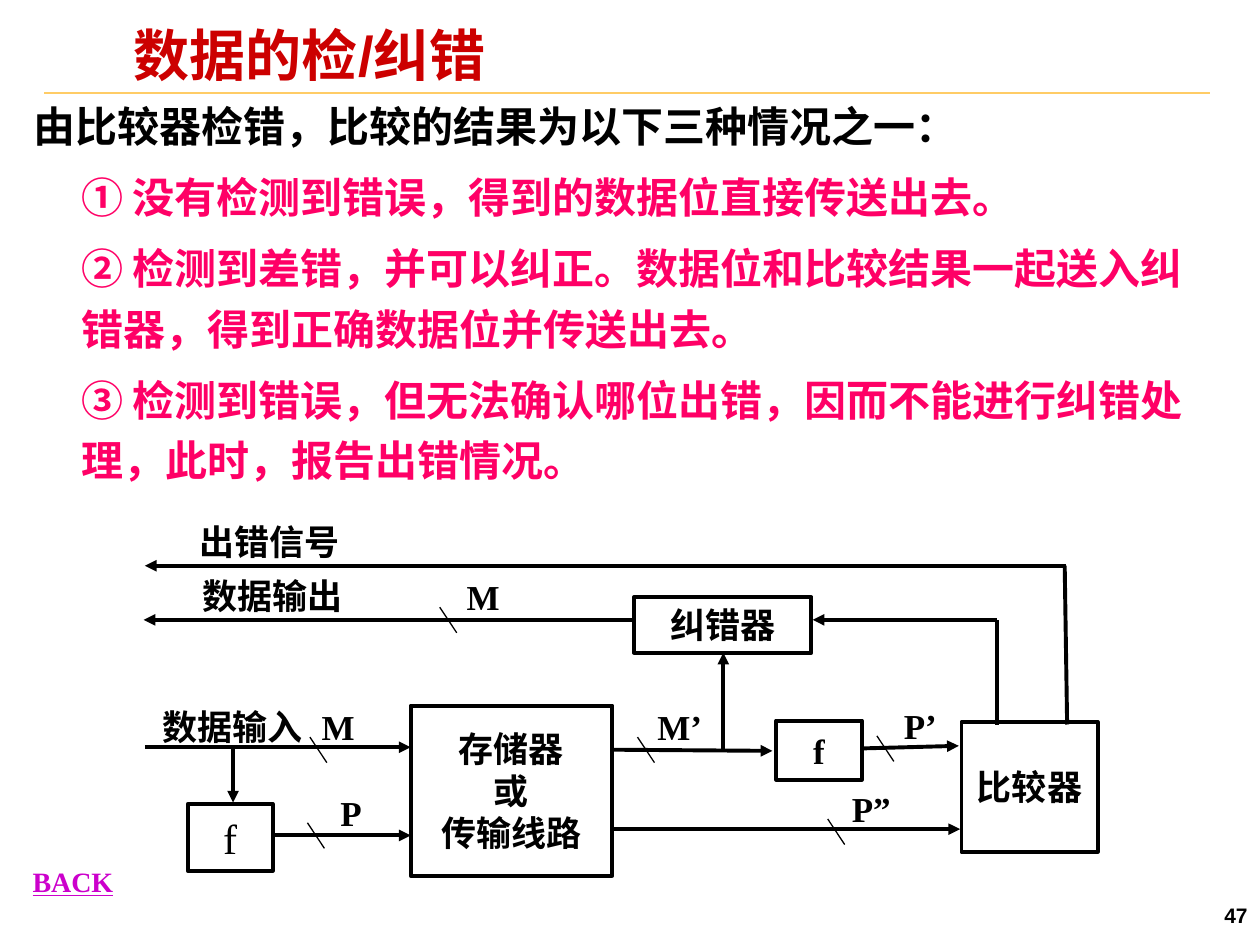
"""Build the slide on error detection and correction of data."""
from pptx import Presentation
from pptx.dml.color import RGBColor as RGB
from pptx.enum.shapes import MSO_CONNECTOR as CONN, MSO_SHAPE as SHAPE
from pptx.enum.text import MSO_ANCHOR as ANCHOR, PP_ALIGN as ALIGN
from pptx.oxml.ns import qn
from pptx.util import Pt
from lxml.etree import SubElement

COLORS = {"black": "000000", "title": "CC0000", "item": "FF0066", "link": "CC00CC", "rule": "FFCC66"}
TITLE = {"name": "Arial", "size": Pt(32), "bold": True}
BODY = {"name": "Arial", "size": Pt(24), "bold": True}
LABEL = {"name": "Times New Roman", "size": Pt(20), "bold": True}
PLAIN = {"name": "Times New Roman", "size": Pt(24), "bold": False}
BACK = {"name": "Times New Roman", "size": Pt(16), "bold": True, "underline": True}
NUMBER = {"name": "Arial", "size": Pt(12), "bold": True}

prs = Presentation()
prs.slide_width, prs.slide_height = Pt(720), Pt(540)
s = prs.slides.add_slide(prs.slide_layouts[6])


def write(sp, lines, fmt, color="black", align=ALIGN.CENTER, anchor=ANCHOR.MIDDLE, inset=(0, 0)):
    tf = sp.text_frame
    frame = {"word_wrap": True, "vertical_anchor": anchor, "margin_left": Pt(inset[0]),
             "margin_right": Pt(inset[0]), "margin_top": Pt(inset[1]), "margin_bottom": Pt(inset[1])}
    for key, value in frame.items():
        setattr(tf, key, value)
    for i, line in enumerate(lines):
        p = tf.add_paragraph() if i else tf.paragraphs[0]
        p.alignment = align
        r = p.add_run()
        r.text = line
        for key, value in fmt.items():
            setattr(r.font, key, value)
        r.font.color.rgb = RGB.from_string(COLORS[color])
    return tf.paragraphs


def connect(x1, y1, x2, y2, width=2.25, color="black", arrow=False):
    c = s.shapes.add_connector(CONN.STRAIGHT, Pt(x1), Pt(y1), Pt(x2), Pt(y2))
    c.line.width = Pt(width)
    c.line.color.rgb = RGB.from_string(COLORS[color])
    if arrow:
        SubElement(c.line._get_or_add_ln(), qn("a:tailEnd"), type="triangle")
    SubElement(c._element.spPr, qn("a:effectLst"))


connect(25.2, 53.3, 691.2, 53.3, 1, "rule")

title = s.shapes.add_textbox(Pt(63.4), Pt(15.1), Pt(478), Pt(37.4))
p = write(title, ["数据的检/纠错"], TITLE, "title", ALIGN.LEFT, inset=(13, 2.2))[0]
p.line_spacing = 0.87

body = s.shapes.add_textbox(Pt(14.4), Pt(55.4), Pt(685.4), Pt(229.7))
items = ["由比较器检错，比较的结果为以下三种情况之一：",
         "① 没有检测到错误，得到的数据位直接传送出去。",
         "② 检测到差错，并可以纠正。数据位和比较结果一起送入纠错器，得到正确数据位并传送出去。",
         "③ 检测到错误，但无法确认哪位出错，因而不能进行纠错处理，此时，报告出错情况。"]
for p in write(body, items, BODY, "item", ALIGN.LEFT, ANCHOR.TOP, (5, 2.2))[1:]:
    p.space_before, p.line_spacing = Pt(6), 1.2
    p._p.get_or_add_pPr().set("marL", str(Pt(27)))
body.text_frame.paragraphs[0].runs[0].font.color.rgb = RGB.from_string(COLORS["black"])

boxes = [(["存储器", "或", "传输线路"], 234.7, 403.2, 115.2, 97.2, LABEL),
         (["f"], 107.3, 459.4, 48.5, 38.2, PLAIN),
         (["f"], 443.5, 411.8, 49, 33.8, LABEL),
         (["比较器"], 549.4, 412.6, 77.8, 74.2, LABEL),
         (["纠错器"], 362.2, 341.3, 101.5, 31.7, LABEL)]
for lines, x, y, w, h, fmt in boxes:
    sp = s.shapes.add_shape(SHAPE.RECTANGLE, Pt(x), Pt(y), Pt(w), Pt(h))
    sp.shadow.inherit = False
    sp.fill.background()
    sp.line.width = Pt(2.25)
    sp.line.color.rgb = RGB.from_string(COLORS["black"])
    write(sp, lines, fmt)

arrows = [(82.8, 427, 234.7, 427), (133.2, 427, 133.2, 458.6), (156.2, 477.4, 234.7, 477.4),
          (349.9, 428.4, 441.4, 429.1), (350.6, 473.8, 548.6, 473.8), (491.8, 427.7, 547.9, 426.2),
          (413.3, 428.4, 413.3, 373), (569.5, 354.2, 464.4, 354.2), (362.2, 354.2, 82.1, 354.2),
          (609.1, 323.3, 82.8, 323.3)]
for ends in arrows:
    connect(*ends, arrow=True)
for ends in [(569.5, 414, 569.5, 354.2), (608.4, 323.3, 609.8, 414)]:
    connect(*ends)

buses = [("M", 177.1, 421.2, -2.2), ("P", 175.7, 470.2, 6.5), ("M’", 364.3, 421.2, 5.8),
         ("P”", 473, 468, 6.5), ("P’", 501.1, 420.5, 6.5), ("M", 251.3, 347, 6.5)]
for name, x, y, gap in buses:
    connect(x, y, x + 9.7, y + 14.6, 0.75)
    write(s.shapes.add_textbox(Pt(x + gap), Pt(y - 18), Pt(36.7), Pt(23.8)), [name], LABEL)

signals = [("出错信号", 101.5, 293.8, 105.1, 31), ("数据输出", 103, 324.7, 105.1, 31),
           ("数据输入", 84.2, 403.2, 97.2, 23.8)]
for name, x, y, w, h in signals:
    write(s.shapes.add_textbox(Pt(x), Pt(y), Pt(w), Pt(h)), [name], LABEL)

back = s.shapes.add_textbox(Pt(11.5), Pt(490.3), Pt(64.1), Pt(26.6))
write(back, ["BACK"], BACK, "link", ALIGN.LEFT, ANCHOR.TOP, (7.2, 3.6))
number = s.shapes.add_textbox(Pt(558), Pt(508.3), Pt(162), Pt(28.8))
write(number, ["47"], NUMBER, align=ALIGN.RIGHT, inset=(7.2, 3.6))

prs.save("out.pptx")
